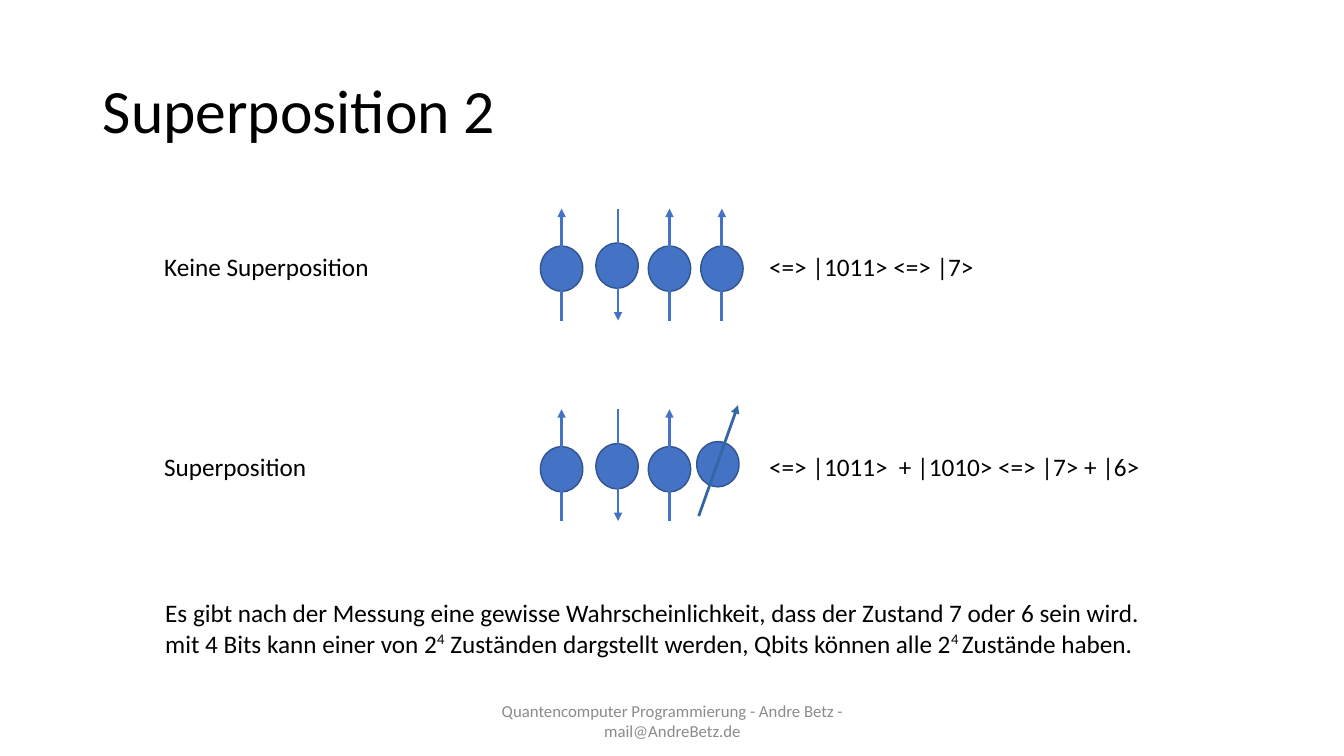
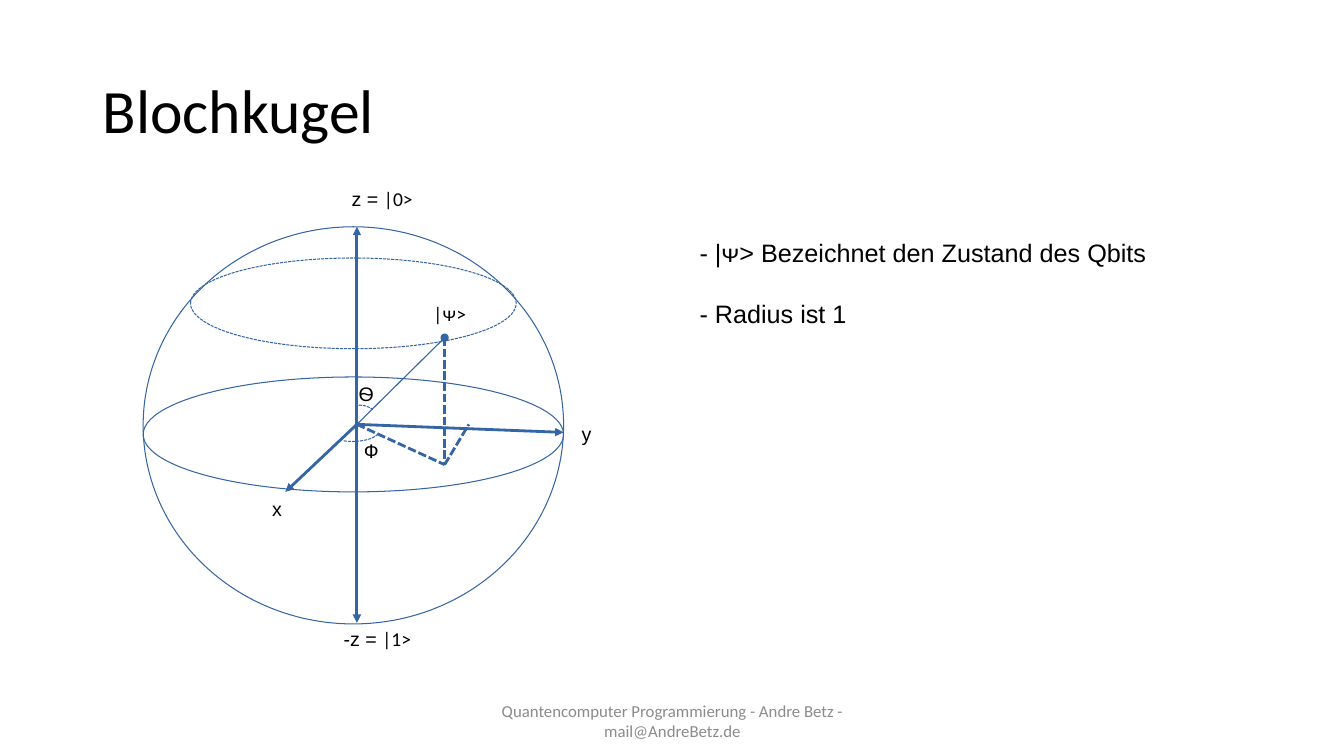
from copy import deepcopy

from lxml import etree
from pptx import Presentation
from pptx.dml.color import RGBColor
from pptx.enum.dml import MSO_LINE
from pptx.enum.shapes import MSO_CONNECTOR, MSO_SHAPE, PP_PLACEHOLDER
from pptx.enum.text import MSO_ANCHOR, PP_ALIGN
from pptx.oxml.ns import qn
from pptx.util import Inches, Pt

OVAL, ARC = MSO_SHAPE.OVAL, MSO_SHAPE.ARC
STRAIGHT = MSO_CONNECTOR.STRAIGHT
FOOTER = PP_PLACEHOLDER.FOOTER
MIDDLE, TOP = MSO_ANCHOR.MIDDLE, MSO_ANCHOR.TOP
LEFT, CENTER = PP_ALIGN.LEFT, PP_ALIGN.CENTER
DASH = MSO_LINE.SQUARE_DOT

BLACK = RGBColor(0x00, 0x00, 0x00)
GRAY = RGBColor(0x8B, 0x8B, 0x8B)
BLUE = RGBColor(0x44, 0x72, 0xC4)
EDGE = RGBColor(0x32, 0x54, 0x90)
INK = RGBColor(0x34, 0x65, 0xA4)
SANS, ARIAL = "Calibri", "Arial"

FOOT = "Quantencomputer Programmierung - Andre Betz - mail@AndreBetz.de"
TITLE_BOX = (0.92, 0.4, 11.5, 1.45)
FOOT_BOX = (4.42, 6.95, 4.5, 0.4)

# Text runs are plain strings or (string, format) pairs; "\n" breaks the line.
RAISED = {"base": 33000}
CALIBRI = {"font": SANS}

# Row top, label, spins, state
ROWS = [
    (2.44, "Keine Superposition", "1011", "<=> |1011> <=> |7>"),
    (4.43, "Superposition", "101?", "<=> |1011>  + |1010> <=> |7> + |6>"),
]
SPIN_X = (5.36, 5.91, 6.43, 6.95)
# Ball shift right and down from its place; arrow from and to, from the ball's place
SPINS = {
    "1": ((0, 0), (0.21, 0.74), (0.21, -0.37)),
    "0": ((0, -0.03), (0.22, -0.37), (0.22, 0.74)),
    "?": ((-0.04, -0.05), (-0.02, 0.69), (0.37, -0.41)),
}
BALL = (0.42, 0.45)
NOTE = [[
    "Es gibt nach der Messung eine gewisse Wahrscheinlichkeit, "
    "dass der Zustand 7 oder 6 sein wird.", "\n",
    "mit 4 Bits kann einer von 2", ("4", RAISED),
    " Zuständen dargstellt werden, Qbits können alle 2", ("4 ", RAISED),
    "Zustände haben.",
]]

FACTS = [["- |ᴪ> Bezeichnet den Zustand des Qbits"], ["- Radius ist 1"]]
# Box, dash
RINGS = [
    ((1.42, 2.25, 4.17, 3.94), None),
    ((1.42, 3.74, 4.17, 1.14), None),
    ((1.89, 2.56, 3.23, 0.9), DASH),
]
# Box, start and end angle in degrees, clockwise from the right
ARCS = [
    ((3.22, 4.14, 0.55, 0.24), 10, 130),
    ((3.38, 4.02, 0.39, 0.39), 265, 309),
]
CORE, STATE, FLAT = (3.54, 4.21), (4.41, 3.35), (4.41, 4.61)
# From, to, format
AXES = [
    (CORE, (2.83, 4.88), {"tip": "triangle"}),
    (CORE, (5.59, 4.29), {"tip": "triangle"}),
    (CORE, (3.54, 2.25), {"tip": "triangle"}),
    (CORE, (3.54, 6.18), {"tip": "triangle"}),
    (CORE, STATE, {"tip": "oval", "width": 0.79}),
    (CORE, FLAT, {"dash": DASH}),
    (STATE, FLAT, {"dash": DASH}),
    (FLAT, (4.65, 4.21), {"dash": DASH}),
]
# Box, runs
MARKS = [
    ((3.39, 1.81, 0.95, 0.34), ["z = ", ("|0>", CALIBRI)]),
    ((3.31, 6.17, 1.02, 0.34), ["-z = ", ("|1>", CALIBRI)]),
    ((5.67, 4.14, 1.02, 0.34), ["y"]),
    ((2.6, 4.88, 1.02, 0.34), ["x"]),
    ((3.46, 3.74, 0.4, 0.32), ["Ѳ"]),
    ((3.51, 4.31, 0.4, 0.32), ["Ф"]),
    ((4.2, 2.95, 0.6, 0.34), [("|", CALIBRI), "ᴪ", (">", CALIBRI)]),
]


def place(shape, box):
    shape.left, shape.top, shape.width, shape.height = map(Inches, box)


def write(shape, paras, size=18, font=SANS, color=BLACK, align=LEFT,
          anchor=TOP, gap=0, lead=None):
    """Fill a shape with paragraphs, each a list of runs."""
    frame = shape.text_frame
    frame.word_wrap = True
    frame.vertical_anchor = anchor
    for i, runs in enumerate(paras):
        para = frame.add_paragraph() if i else frame.paragraphs[0]
        para.alignment = align
        para.line_spacing = lead
        if i:
            para.space_before = Pt(gap)
        for part in runs:
            if part == "\n":
                para.add_line_break()
                continue
            text, form = (part, {}) if isinstance(part, str) else part
            run = para.add_run()
            run.text = text
            run.font.size = Pt(size)
            run.font.name = form.get("font", font)
            run.font.color.rgb = color
            if "base" in form:
                run.font._element.set("baseline", str(form["base"]))


def label(slide, box, paras, **form):
    write(slide.shapes.add_textbox(*map(Inches, box)), paras, **form)


def curve(slide, kind, box, fill=None, color=INK, width=0, dash=None):
    shape = slide.shapes.add_shape(kind, *map(Inches, box))
    shape.shadow.inherit = False
    if fill is None:
        shape.fill.background()
    else:
        shape.fill.solid()
        shape.fill.fore_color.rgb = fill
    stroke(shape.line, color, width, dash)
    return shape


def stroke(line, color, width, dash):
    line.color.rgb = color
    line.width = Pt(width)
    if dash is not None:
        line.dash_style = dash


def link(slide, start, end, color=INK, width=0, dash=None, tip=None):
    """Draw a straight line, with an optional tip at its end."""
    line = slide.shapes.add_connector(STRAIGHT, *map(Inches, start + end))
    stroke(line.line, color, width, dash)
    props = line._element.spPr
    if tip:
        etree.SubElement(props.find(qn("a:ln")), qn("a:tailEnd"), type=tip)
    etree.SubElement(props, qn("a:effectLst"))


def start_slide(deck, title):
    """Add a slide with the shared title and footer."""
    layout = deck.slide_layouts[5]
    slide = deck.slides.add_slide(layout)
    place(slide.shapes.title, TITLE_BOX)
    write(slide.shapes.title, [[title]], size=44, anchor=MIDDLE, lead=0.9)
    for holder in layout.placeholders:
        if holder.placeholder_format.type == FOOTER:
            slide.shapes._spTree.append(deepcopy(holder._element))
            foot = slide.shapes[-1]
            place(foot, FOOT_BOX)
            write(foot, [[FOOT]], size=12, color=GRAY, align=CENTER,
                  anchor=MIDDLE)
    return slide


def draw_spin(slide, x, y, bit):
    shift, start, end = SPINS[bit]
    curve(slide, OVAL, (x + shift[0], y + shift[1]) + BALL,
          fill=BLUE, color=EDGE, width=1)
    color, width = (INK, 0) if bit == "?" else (BLUE, 2)
    link(slide, (x + start[0], y + start[1]), (x + end[0], y + end[1]),
         color=color, width=width, tip="triangle")


def add_states(deck):
    slide = start_slide(deck, "Superposition 2")
    for top, name, bits, state in ROWS:
        label(slide, (1.53, top, 2.5, 0.4), [[name]])
        for x, bit in zip(SPIN_X, bits):
            draw_spin(slide, x, top, bit)
        label(slide, (7.53, top, 4.26, 0.4), [[state]])
    label(slide, (1.54, 5.88, 10.2, 0.7), NOTE)


def add_sphere(deck):
    slide = start_slide(deck, "Blochkugel")
    label(slide, (6.84, 2.3, 5, 1.22), FACTS, font=ARIAL, gap=22)
    for box, dash in RINGS:
        curve(slide, OVAL, box, dash=dash)
    for box, *angles in ARCS:
        arc = curve(slide, ARC, box, dash=DASH)
        for i, angle in enumerate(angles):
            arc.adjustments[i] = angle * 0.6
    for start, end, form in AXES:
        link(slide, start, end, **form)
    for box, runs in MARKS:
        label(slide, box, [runs], size=14, font=ARIAL)


def main():
    deck = Presentation()
    deck.slide_width, deck.slide_height = Inches(13.33), Inches(7.5)
    add_states(deck)
    add_sphere(deck)
    deck.save("out.pptx")


if __name__ == "__main__":
    main()
